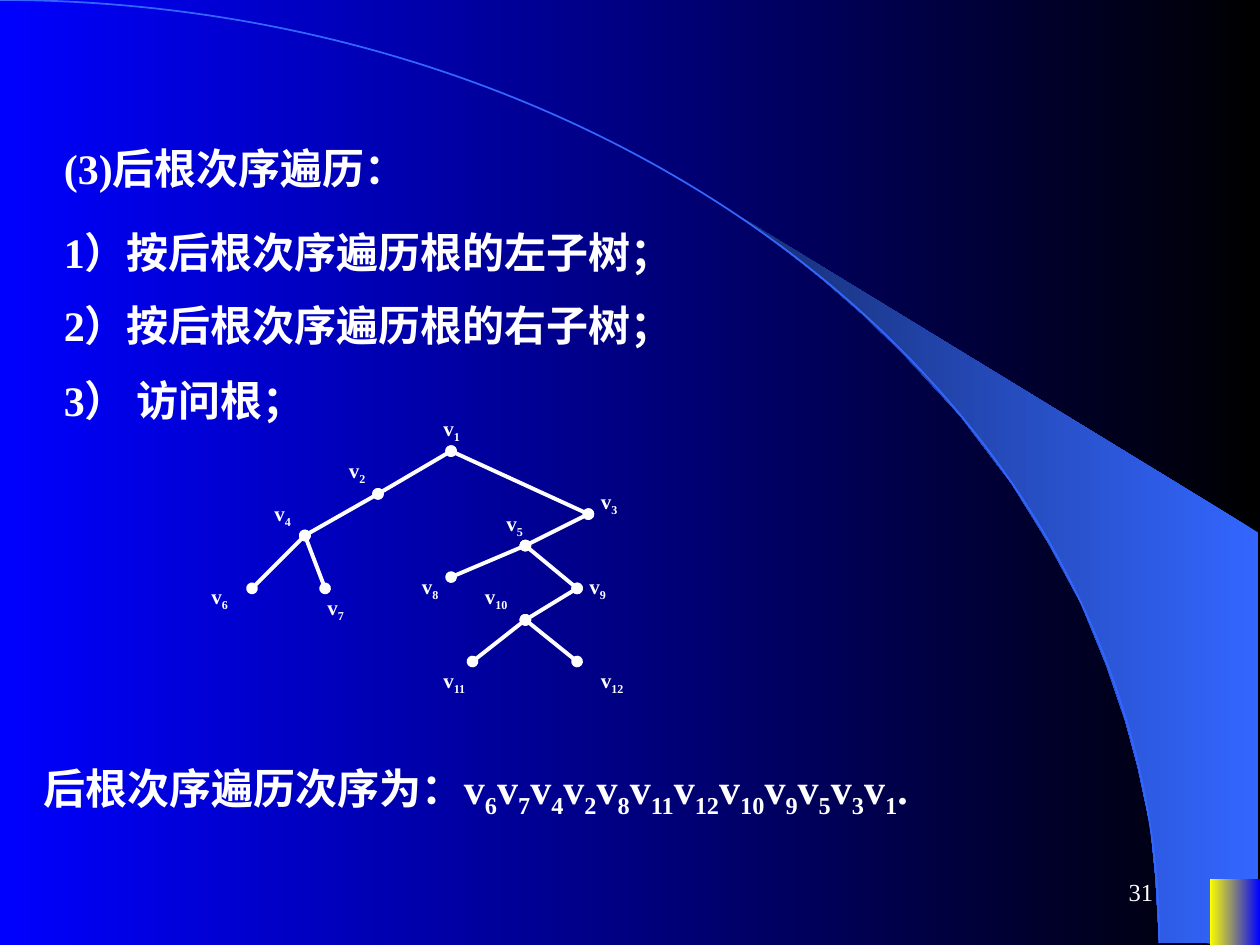
import pptx
import pptx.dml.color
import pptx.enum.shapes
import pptx.enum.text
import pptx.util
from dataclasses import dataclass
from lxml import etree
from pptx.util import Inches

SHAPE = pptx.enum.shapes.MSO_SHAPE
ALIGN = pptx.enum.text.PP_ALIGN
ANCHOR = pptx.enum.text.MSO_ANCHOR
FIT = pptx.enum.text.MSO_AUTO_SIZE
A = "{http://schemas.openxmlformats.org/drawingml/2006/main}"


@dataclass(frozen=True)
class Theme:
    font: str = "Times New Roman"
    white: str = "FFFFFF"
    black: str = "000000"
    blue: str = "0000FF"
    yellow: str = "FFFF00"
    sky: str = "3366FF"
    navy: str = "172F75"
    body: int = 24
    label: int = 12
    number: int = 14
    edge: float = 2.25


def rgb(value):
    return pptx.dml.color.RGBColor.from_string(value)


def write(tf, text, *, theme, size, bold=True, align=ALIGN.LEFT):
    """Fill a frame; every second part between bars is a subscript."""
    p = tf.paragraphs[0]
    p.alignment = align
    for i, part in enumerate(text.split("|")):
        if not part:
            continue
        r = p.add_run()
        r.text = part
        r.font.name = theme.font
        r.font.size = pptx.util.Pt(size)
        r.font.bold = bold
        r.font.color.rgb = rgb(theme.white)
        if i % 2:
            r._r.get_or_add_rPr().set("baseline", "-25000")


class Painter:
    def __init__(self, s, theme):
        self.s, self.theme = s, theme

    def gradient(self, fill, first, last):
        """Blend from first at the right to last at the left."""
        fill.gradient()
        fill.gradient_angle = 180
        for stop, color in zip(fill.gradient_stops, (first, last)):
            stop.color.rgb = rgb(color)

    def background(self, first, last):
        self.gradient(self.s.background.fill, first, last)

    def outline(self, points, first, last):
        xy = [(Inches(x), Inches(y)) for x, y in points]
        builder = self.s.shapes.build_freeform(*xy[0])
        builder.add_line_segments(xy[1:], close=True)
        sp = builder.convert_to_shape()
        sp.shadow.inherit = False
        sp.line.fill.background()
        self.gradient(sp.fill, first, last)

    def preset(self, kind, at):
        sp = self.s.shapes.add_shape(kind, *map(Inches, at))
        sp.shadow.inherit = False
        return sp

    def arc(self, at, color):
        sp = self.preset(SHAPE.ARC, at)
        sp.fill.background()
        sp.line.color.rgb = rgb(color)
        sp.line.width = pptx.util.Pt(1)

    def block(self, at, first, last):
        sp = self.preset(SHAPE.RECTANGLE, at)
        sp.line.fill.background()
        self.gradient(sp.fill, first, last)

    def edge(self, start, end):
        sp = self.s.shapes.add_connector(
            pptx.enum.shapes.MSO_CONNECTOR.STRAIGHT,
            *map(Inches, (*start, *end)))
        sp.line.color.rgb = rgb(self.theme.white)
        sp.line.width = pptx.util.Pt(self.theme.edge)
        ln = sp.line._get_or_add_ln()
        for tag in ("headEnd", "tailEnd"):
            etree.SubElement(ln, A + tag, type="oval")
        etree.SubElement(sp._element.spPr, A + "effectLst")

    def text(self, at, text, anchor=ANCHOR.TOP, fit=FIT.SHAPE_TO_FIT_TEXT, **fmt):
        tf = self.s.shapes.add_textbox(*map(Inches, at)).text_frame
        tf.word_wrap = True
        tf.auto_size = fit
        tf.vertical_anchor = anchor
        write(tf, text, theme=self.theme, **fmt)


# Steps of the traversal: top edge and wording
STEPS = [
    (1.08, "(3)后根次序遍历："),
    (1.75, "1）按后根次序遍历根的左子树；"),
    (2.33, "2）按后根次序遍历根的右子树；"),
    (2.92, "3） 访问根；"),
]

# Binary tree: children, node points and label corners
CHILDREN = {1: (2, 3), 2: (4,), 3: (5,), 4: (6, 7), 5: (8, 9),
            9: (10,), 10: (11, 12)}
NODES = {
    1: (3.58, 3.58), 2: (3, 3.92), 3: (4.67, 4.08), 4: (2.42, 4.25),
    5: (4.17, 4.33), 6: (2, 4.67), 7: (2.58, 4.67), 8: (3.58, 4.58),
    9: (4.58, 4.67), 10: (4.17, 4.92), 11: (3.75, 5.25), 12: (4.58, 5.25),
}
LABELS = {
    1: (3.42, 3.25), 2: (2.67, 3.58), 3: (4.67, 3.83), 4: (2.08, 3.92),
    5: (3.92, 4), 6: (1.58, 4.58), 7: (2.5, 4.67), 8: (3.25, 4.5),
    9: (4.58, 4.5), 10: (3.75, 4.58), 11: (3.42, 5.25), 12: (4.67, 5.25),
}

# Crescent beside the arc
CRESCENT = [
    (9.2, 7.48), (9.99, 7.49), (9.99, 4.23), (5.89, 1.73), (6.24, 1.99),
    (6.53, 2.22), (6.85, 2.5), (7.16, 2.8), (7.62, 3.3), (8.03, 3.84),
    (8.32, 4.31), (8.58, 4.79), (8.78, 5.28), (8.93, 5.72), (9.03, 6.09),
    (9.13, 6.56), (9.17, 6.96),
]


def postorder(node):
    return [n for c in CHILDREN.get(node, ()) for n in postorder(c)] + [node]


def main():
    prs = pptx.Presentation()
    prs.slide_width, prs.slide_height = Inches(10), Inches(7.5)
    t = Theme()
    page = Painter(prs.slides.add_slide(prs.slide_layouts[6]), t)

    # Backdrop
    page.background(t.black, t.blue)
    page.outline(CRESCENT, t.sky, t.navy)
    page.arc((-9.2, 0, 18.4, 14.97), t.sky)
    page.block((9.6, 6.98, 0.4, 0.52), t.blue, t.yellow)

    # Steps
    for top, step in STEPS:
        page.text((0.41, top, 8.67, 0.5), step, size=t.body)

    # Tree
    for parent, children in CHILDREN.items():
        for child in children:
            page.edge(NODES[parent], NODES[child])
    for n, corner in LABELS.items():
        width = 0.35 if n < 10 else 0.5
        page.text((*corner, width, 0.33), f"v|{n}", size=t.label)

    # Resulting order
    order = "".join(f"v|{n}|" for n in postorder(1))
    page.text((0.25, 6, 8.75, 0.56), f"后根次序遍历次序为：{order}.", size=t.body)

    # Page number
    page.text((7.17, 6.83, 2.08, 0.5), "31", anchor=ANCHOR.MIDDLE,
              fit=FIT.NONE, size=t.number, bold=False, align=ALIGN.RIGHT)

    prs.save("out.pptx")


if __name__ == "__main__":
    main()
